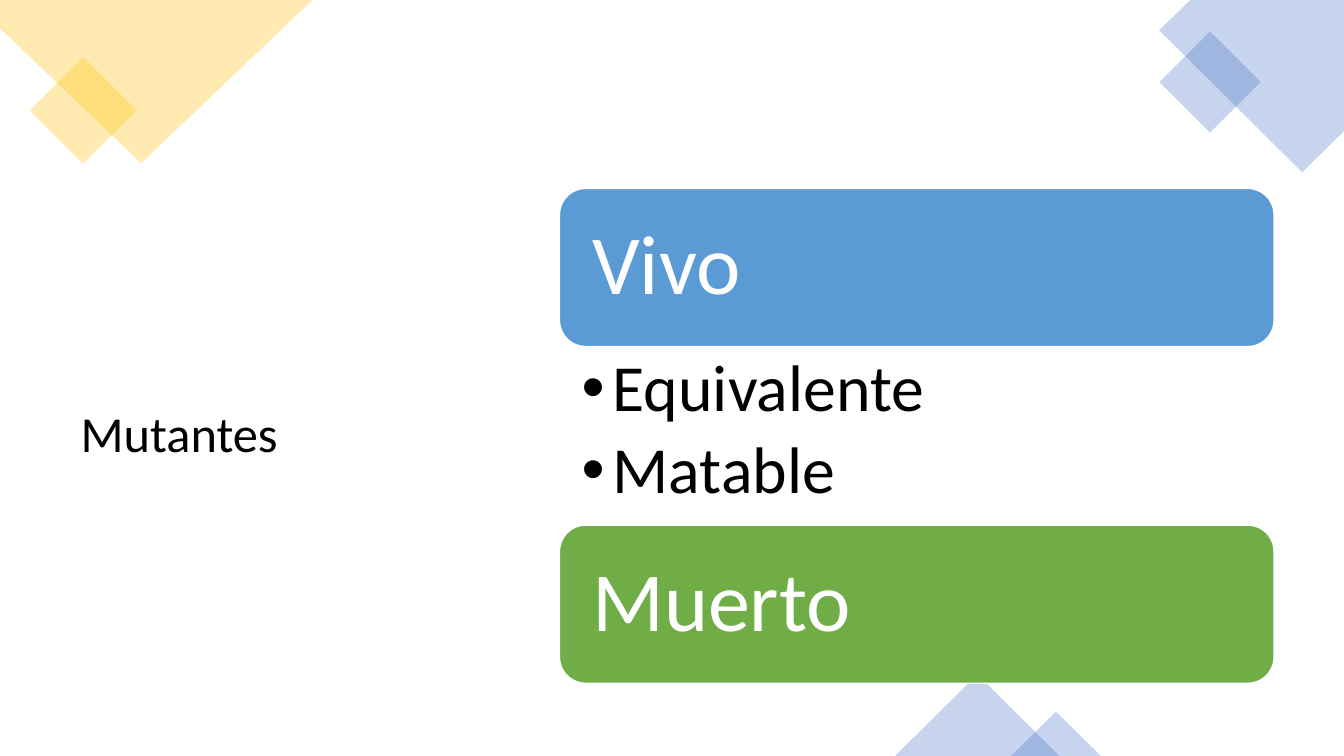
from typing import NamedTuple

from lxml.etree import SubElement
from pptx import Presentation
from pptx.dml.color import RGBColor
from pptx.enum.shapes import MSO_SHAPE
from pptx.enum.text import MSO_ANCHOR, MSO_AUTO_SIZE, PP_ALIGN
from pptx.oxml.ns import qn
from pptx.util import Pt

FONT = "Calibri"
YELLOW, BLUE = "FFC000", "4472C4"
CARD_LEFT, CARD_WIDTH, CARD_HEIGHT = 399.6, 510.5, 113


class Ornament(NamedTuple):
    preset: MSO_SHAPE
    left: float
    top: float
    width: float
    height: float
    color: str
    rotation: float = 0


class Corner(NamedTuple):
    points: list[tuple[float, float]]
    color: str


class Card(NamedTuple):
    label: str
    top: float
    color: str


CORNERS = [
    Corner([(0, 0), (223.2, 0), (100.8, 116.6), (0, 20.2)], YELLOW),
    Corner([(850.3, 0), (960, 0), (960, 93.6), (930.2, 123.1), (828, 21.6)], BLUE),
]
ORNAMENTS = [
    Ornament(MSO_SHAPE.RECTANGLE, 32.4, 51.8, 54, 54, YELLOW, 45),
    Ornament(MSO_SHAPE.RECTANGLE, 838.8, 33.1, 51.1, 51.1, BLUE, 45),
    Ornament(MSO_SHAPE.ISOSCELES_TRIANGLE, 639.4, 481.7, 117.4, 58.3, BLUE),
    Ornament(MSO_SHAPE.ISOSCELES_TRIANGLE, 722.2, 508.3, 64.1, 31.7, BLUE),
]
CARDS = [Card("Vivo", 134.6, "5B9BD5"), Card("Muerto", 375.1, "70AD47")]
LIVE_KINDS = ["Equivalente", "Matable"]


def rgb(color: str) -> RGBColor:
    return RGBColor.from_string(color)


def place(shape, left: float, top: float, width: float, height: float) -> None:
    shape.left, shape.top = Pt(left), Pt(top)
    shape.width, shape.height = Pt(width), Pt(height)


def set_insets(frame, left: float, top: float, right: float, bottom: float) -> None:
    frame.margin_left, frame.margin_top = Pt(left), Pt(top)
    frame.margin_right, frame.margin_bottom = Pt(right), Pt(bottom)


def format_paragraph(paragraph, size: float, color: str, after: float = 0) -> None:
    paragraph.alignment = PP_ALIGN.LEFT
    paragraph.line_spacing = 0.9
    paragraph.space_before, paragraph.space_after = Pt(0), Pt(after)
    paragraph.font.name = FONT
    paragraph.font.size = Pt(size)
    paragraph.font.color.rgb = rgb(color)


def add_bullet(paragraph, indent: float) -> None:
    properties = paragraph._p.get_or_add_pPr()
    properties.set("marL", str(Pt(indent)))
    properties.set("indent", str(-Pt(indent)))
    SubElement(properties, qn("a:buChar"), char="•")


def tint(shape, color: str) -> None:
    """Fill at 30 % opacity, without outline or shadow."""
    shape.shadow.inherit = False
    shape.line.fill.background()
    shape.fill.solid()
    shape.fill.fore_color.rgb = rgb(color)
    SubElement(shape._element.spPr.find(".//" + qn("a:srgbClr")),
               qn("a:alpha"), val="30000")


def draw_corner(shapes, corner: Corner) -> None:
    start, *others = [(Pt(x), Pt(y)) for x, y in corner.points]
    builder = shapes.build_freeform(*start)
    builder.add_line_segments(others, close=True)
    tint(builder.convert_to_shape(), corner.color)


def draw_ornament(shapes, ornament: Ornament) -> None:
    bounds = (Pt(value) for value in ornament[1:5])
    shape = shapes.add_shape(ornament.preset, *bounds)
    shape.rotation = ornament.rotation
    tint(shape, ornament.color)


def draw_card(shapes, card: Card) -> None:
    shape = shapes.add_shape(MSO_SHAPE.ROUNDED_RECTANGLE, Pt(CARD_LEFT), Pt(card.top),
                             Pt(CARD_WIDTH), Pt(CARD_HEIGHT))
    shape.shadow.inherit = False
    shape.fill.solid()
    shape.fill.fore_color.rgb = rgb(card.color)
    shape.line.color.rgb = rgb("FFFFFF")
    shape.line.width = Pt(1)
    frame = shape.text_frame
    frame.vertical_anchor = MSO_ANCHOR.MIDDLE
    set_insets(frame, 18, 18, 18, 18)
    frame.text = card.label
    format_paragraph(frame.paragraphs[0], 60, "FFFFFF")


presentation = Presentation()
presentation.slide_width, presentation.slide_height = Pt(960), Pt(540)
slide = presentation.slides.add_slide(presentation.slide_layouts[1])

# Title
title = slide.shapes.title
place(title, 50.4, 133.9, 311.8, 355.7)
title.text_frame.text = "Mutantes"
title.text_frame.auto_size = MSO_AUTO_SIZE.NONE
title.text_frame.vertical_anchor = MSO_ANCHOR.MIDDLE
format_paragraph(title.text_frame.paragraphs[0], 36, "000000")

# Kinds of live mutant, listed between the two cards
live_list = slide.placeholders[1]
list_top = CARDS[0].top + CARD_HEIGHT
place(live_list, CARD_LEFT, list_top, CARD_WIDTH, CARDS[1].top - list_top)
list_frame = live_list.text_frame
list_frame.auto_size = MSO_AUTO_SIZE.NONE
list_frame.vertical_anchor = MSO_ANCHOR.TOP
set_insets(list_frame, 15.8, 5.8, 33.8, 5.8)
list_frame.text = "\n".join(LIVE_KINDS)
for kind in list_frame.paragraphs:
    format_paragraph(kind, 47, "000000", after=8)
    add_bullet(kind, 22.3)

# Corner decoration
for corner in CORNERS:
    draw_corner(slide.shapes, corner)
for ornament in ORNAMENTS:
    draw_ornament(slide.shapes, ornament)

# Mutant states
for card in CARDS:
    draw_card(slide.shapes, card)

presentation.save("out.pptx")
